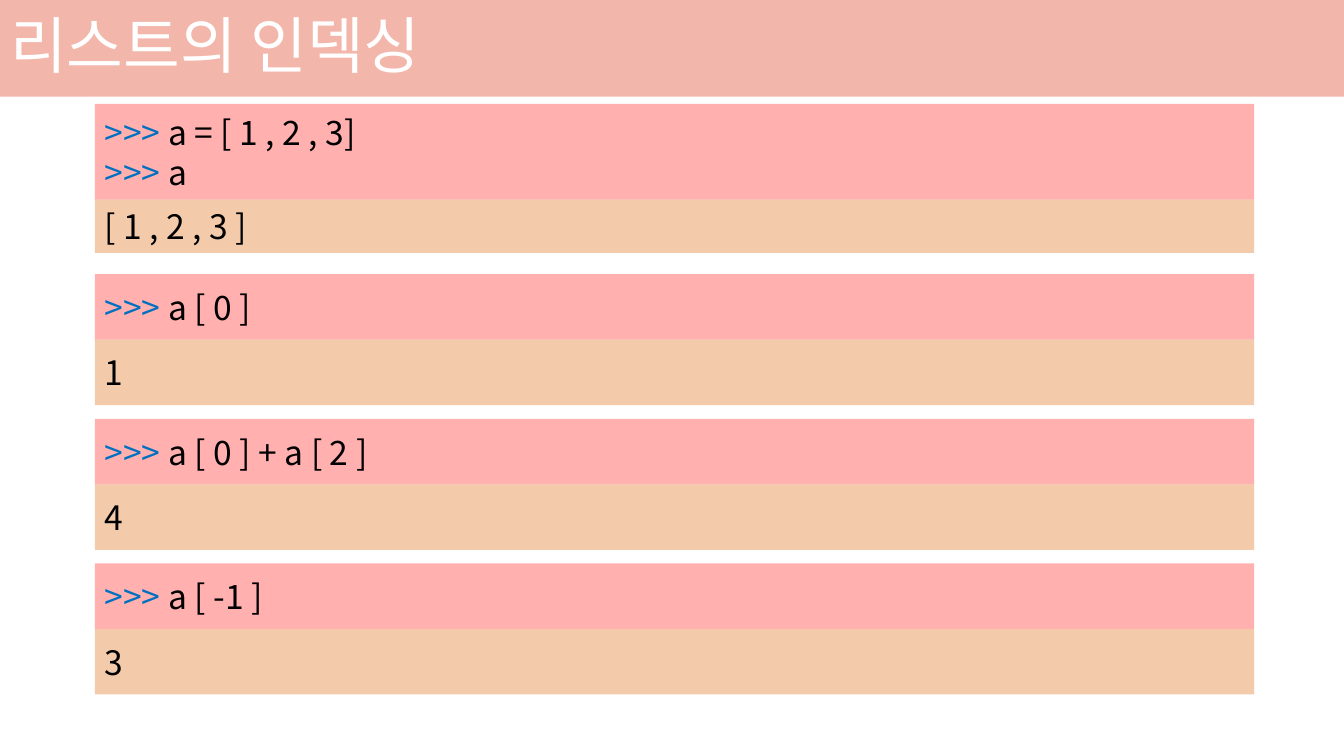
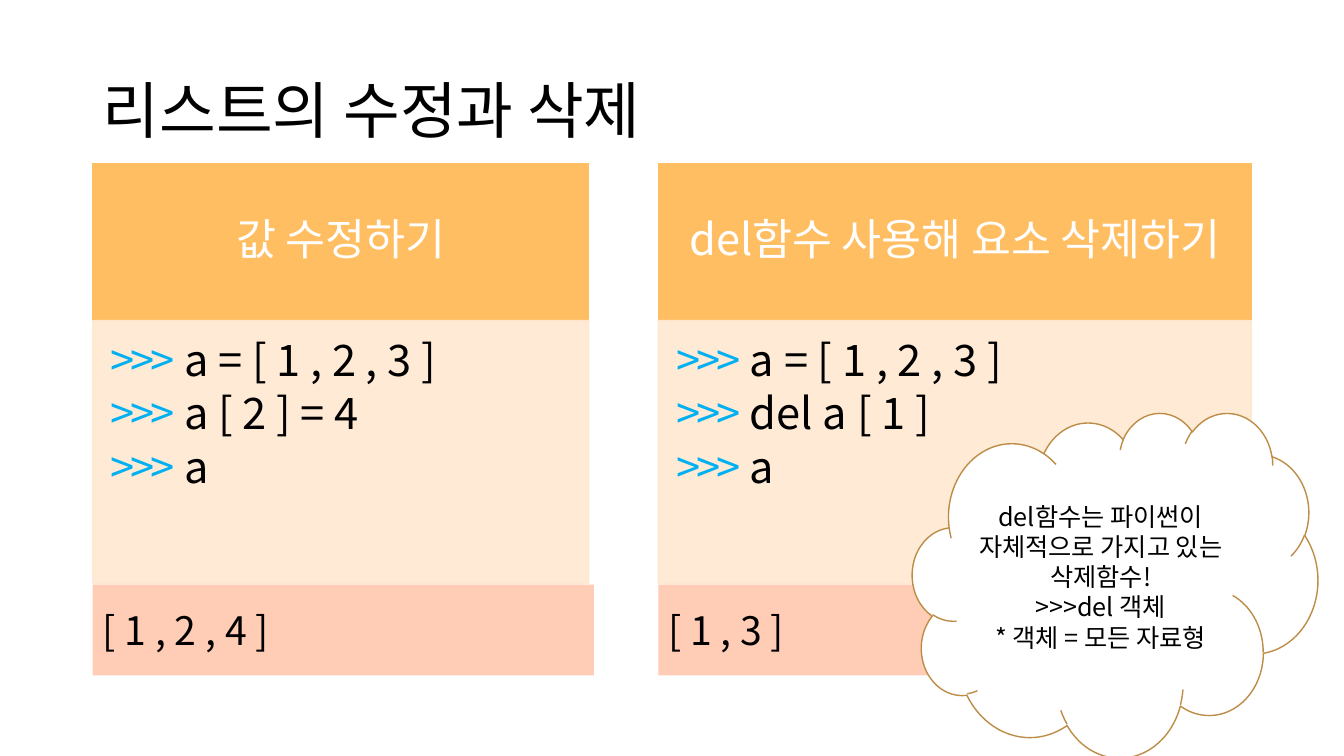
"""Build two slides about indexing, changing and deleting list elements."""
from dataclasses import dataclass

from lxml import etree
from pptx import Presentation
from pptx.dml.color import RGBColor
from pptx.enum.shapes import MSO_SHAPE
from pptx.enum.text import MSO_ANCHOR, MSO_AUTO_SIZE, PP_ALIGN
from pptx.oxml.ns import qn
from pptx.util import Inches, Pt

RECTANGLE, CLOUD = MSO_SHAPE.RECTANGLE, MSO_SHAPE.CLOUD
TOP, MIDDLE = MSO_ANCHOR.TOP, MSO_ANCHOR.MIDDLE
LEFT, CENTER = PP_ALIGN.LEFT, PP_ALIGN.CENTER
NO_AUTOFIT = MSO_AUTO_SIZE.NONE

FONT = "Noto Sans CJK KR"
PROMPT = ">>>"
BLACK, WHITE = "000000", "FFFFFF"
CODE_BLUE, PANEL_BLUE = "0070C0", "00B0F0"
CORAL, RED, TAN = "E86E58", "FF6261", "E89858"
AMBER, CREAM, SALMON, BROWN = "FFBE61", "FFE8D2", "FF9A6D", "BD8D48"


@dataclass(frozen=True)
class Area:
    """Place and size in inches."""
    left: float
    top: float
    width: float
    height: float


@dataclass(frozen=True)
class TextStyle:
    """Formatting of all the text in one shape."""
    size: float
    color: str = BLACK
    align: PP_ALIGN = LEFT
    anchor: MSO_ANCHOR = MIDDLE
    line_spacing: float = 1.0
    space_after: float = 0
    margins: tuple = (0.1, 0.05, 0.1, 0.05)
    prompt_color: str | None = None
    prompt_spacing: int = 0


@dataclass(frozen=True)
class BoxStyle:
    """Outline, fill, line and text formatting of a box."""
    text: TextStyle
    fill: str
    opacity: int = 100
    line: str | None = None
    preset: MSO_SHAPE = RECTANGLE


@dataclass(frozen=True)
class Example:
    """Code typed in, its result, and where both are shown."""
    code: list
    result: str
    top: float
    code_height: float = 0.65
    result_height: float = 0.65


@dataclass(frozen=True)
class Column:
    """A headed panel of code with its result below."""
    heading: str
    code: list
    result: str
    left: float
    width: float
    result_width: float


TITLE_TEXT = TextStyle(44, line_spacing=0.9)
BAND_TITLE_TEXT = TextStyle(44, WHITE, line_spacing=0.9)
CODE = BoxStyle(TextStyle(24, prompt_color=CODE_BLUE), RED, 50)
RESULT = BoxStyle(TextStyle(24), TAN, 50)
HEADING = BoxStyle(
    TextStyle(31, WHITE, CENTER, line_spacing=0.9, margins=(0.24, 0.14, 0.24, 0.14)),
    AMBER, line=AMBER)
PANEL = BoxStyle(
    TextStyle(31, anchor=TOP, line_spacing=0.9, space_after=4.65,
              margins=(0.18, 0.18, 0.24, 0.27), prompt_color=PANEL_BLUE,
              prompt_spacing=-300),
    CREAM, 90, CREAM)
COLUMN_RESULT = BoxStyle(TextStyle(28), SALMON, 50)
NOTE = BoxStyle(TextStyle(18, align=CENTER), WHITE, line=BROWN, preset=CLOUD)

EXAMPLES = [
    Example([">>> a = [ 1 , 2 , 3]", ">>> a"], "[ 1 , 2 , 3 ]", 1.03, 0.95, 0.53),
    *(Example([code], result, 2.72 + 2.87 * index / 2)
      for index, (code, result) in enumerate([
          (">>> a [ 0 ]", "1"), (">>> a [ 0 ] + a [ 2 ]", "4"), (">>> a [ -1 ]", "3")])),
]
COLUMNS = [
    Column("값 수정하기", [">>> a = [ 1 , 2 , 3 ]", ">>> a [ 2 ] = 4", ">>> a"],
           "[ 1 , 2 , 4 ]", 0.92, 4.92, 4.97),
    Column("del함수 사용해 요소 삭제하기", [">>> a = [ 1 , 2 , 3 ]", ">>> del a [ 1 ]", ">>> a"],
           "[ 1 , 3 ]", 6.53, 5.88, 5.9),
]
NOTE_LINES = ["del함수는 파이썬이 자체적으로 가지고 있는 삭제함수!", ">>>del 객체", "* 객체 = 모든 자료형"]


def rgb(color: str) -> RGBColor:
    """Turn a hex string into a colour."""
    return RGBColor.from_string(color)


def apply(target, values: dict) -> None:
    """Set each named attribute on the target."""
    for name, value in values.items():
        setattr(target, name, value)


def paint(shape, fill: str, opacity: int = 100, line: str | None = None) -> None:
    """Fill and outline a shape, both with the same opacity."""
    shape.fill.solid()
    shape.fill.fore_color.rgb = rgb(fill)
    if line:
        shape.line.color.rgb = rgb(line)
        shape.line.width = Pt(1)
    else:
        shape.line.fill.background()
    if opacity < 100:
        for color in shape._element.spPr.iter(qn("a:srgbClr")):
            etree.SubElement(color, qn("a:alpha"), val=str(opacity * 1000))


def add_run(paragraph, text: str, size: float, color: str, spacing: int = 0) -> None:
    """Add a run in the shared font for Latin and Korean letters."""
    run = paragraph.add_run()
    run.text = text
    apply(run.font, {"name": FONT, "size": Pt(size)})
    run.font.color.rgb = rgb(color)
    properties = run.font._element
    etree.SubElement(properties, qn("a:ea"), typeface=FONT)
    if spacing:
        properties.set("spc", str(spacing))


def write(shape, lines: list, style: TextStyle) -> None:
    """Write one paragraph a line, colouring the prompts."""
    frame = shape.text_frame
    left, top, right, bottom = map(Inches, style.margins)
    apply(frame, {
        "word_wrap": True, "auto_size": NO_AUTOFIT, "vertical_anchor": style.anchor,
        "margin_left": left, "margin_top": top,
        "margin_right": right, "margin_bottom": bottom})
    for index, line in enumerate(lines):
        paragraph = frame.add_paragraph() if index else frame.paragraphs[0]
        apply(paragraph, {
            "alignment": style.align, "line_spacing": style.line_spacing,
            "space_before": Pt(0), "space_after": Pt(style.space_after)})
        if style.prompt_color and line.startswith(PROMPT):
            add_run(paragraph, PROMPT, style.size, style.prompt_color, style.prompt_spacing)
            line = line.removeprefix(PROMPT)
        add_run(paragraph, line, style.size, style.color)


def add_box(slide, area: Area, lines: list, style: BoxStyle) -> None:
    """Draw a filled shape with its text."""
    shape = slide.shapes.add_shape(
        style.preset, Inches(area.left), Inches(area.top),
        Inches(area.width), Inches(area.height))
    shape.shadow.inherit = False
    paint(shape, style.fill, style.opacity, style.line)
    write(shape, lines, style.text)


def add_titled_slide(presentation, title: str, area: Area, style: TextStyle):
    """Add a title-only slide and place its title."""
    slide = presentation.slides.add_slide(presentation.slide_layouts[5])
    apply(slide.shapes.title, {
        "left": Inches(area.left), "top": Inches(area.top),
        "width": Inches(area.width), "height": Inches(area.height)})
    write(slide.shapes.title, [title], style)
    return slide


def build_indexing(presentation) -> None:
    """Build the slide on list indexing."""
    slide = add_titled_slide(
        presentation, "리스트의 인덱싱", Area(0, 0, 13.33, 0.96), BAND_TITLE_TEXT)
    paint(slide.shapes.title, CORAL, 50)
    for example in EXAMPLES:
        result_top = example.top + example.code_height
        add_box(slide, Area(0.94, example.top, 11.5, example.code_height), example.code, CODE)
        add_box(slide, Area(0.94, result_top, 11.5, example.result_height),
                [example.result], RESULT)


def build_editing(presentation) -> None:
    """Build the slide on changing and deleting elements."""
    slide = add_titled_slide(
        presentation, "리스트의 수정과 삭제", Area(0.92, 0.4, 11.5, 1.45), TITLE_TEXT)
    for column in COLUMNS:
        add_box(slide, Area(column.left, 1.62, column.width, 1.56), [column.heading], HEADING)
        add_box(slide, Area(column.left, 3.18, column.width, 2.61), column.code, PANEL)
        add_box(slide, Area(column.left, 5.8, column.result_width, 0.9),
                [column.result], COLUMN_RESULT)
    add_box(slide, Area(9.05, 4.09, 4.02, 3.42), NOTE_LINES, NOTE)


def main() -> None:
    """Build and save the presentation."""
    presentation = Presentation()
    apply(presentation, {"slide_width": Inches(13.33), "slide_height": Inches(7.5)})
    build_indexing(presentation)
    build_editing(presentation)
    presentation.save("out.pptx")


main()
